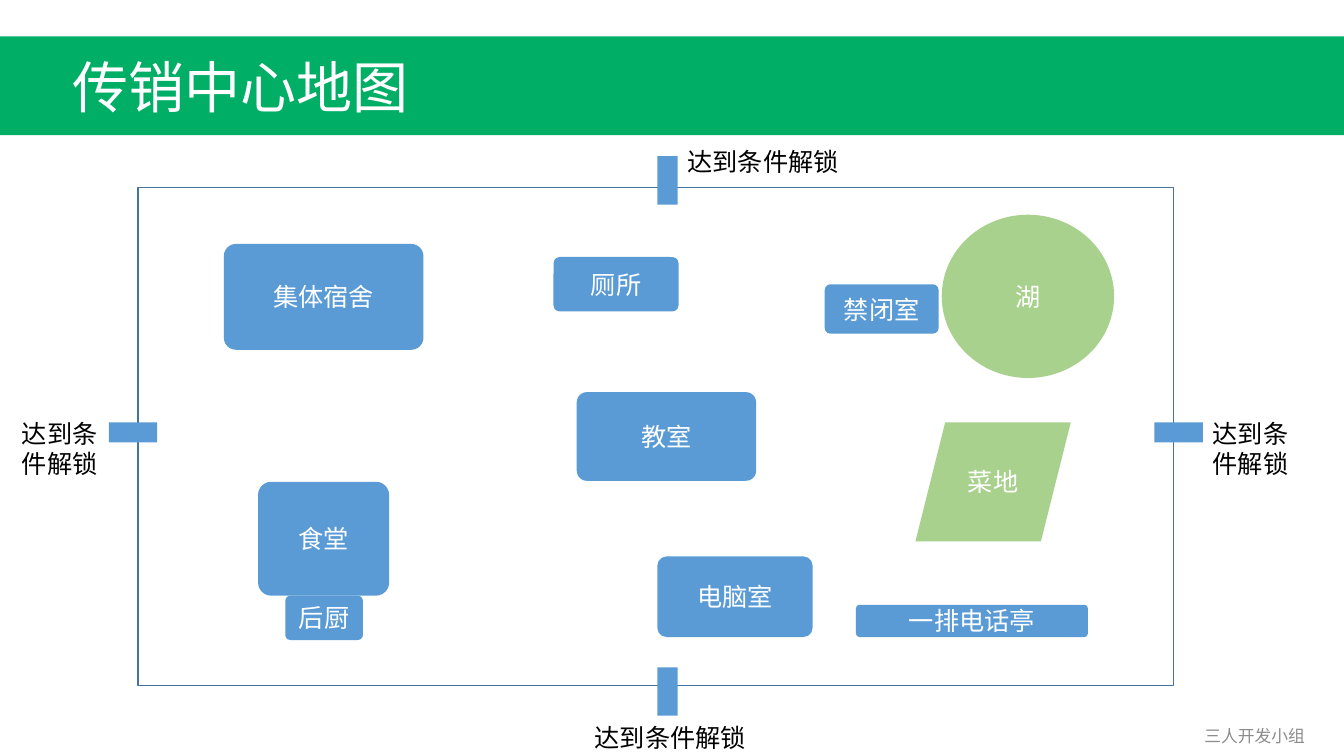
import pptx
import pptx.util
import pptx.dml.color
import pptx.enum.shapes
import pptx.enum.text

SHAPES = pptx.enum.shapes.MSO_SHAPE
ALIGN = pptx.enum.text.PP_ALIGN
ANCHOR = pptx.enum.text.MSO_ANCHOR


def px(length):
    return pptx.util.Emu(length * 9144)


def rgb(value):
    return pptx.dml.color.RGBColor.from_string(value)


class MapPage:
    font = "Calibri"
    green = "00AE66"
    blue = "5B9BD5"
    nature = "A9D18E"
    border = "43739E"
    white = "FFFFFF"
    black = "000000"
    gray = "8C8C8C"

    def __init__(self, deck):
        self.page = deck.slides.add_slide(deck.slide_layouts[5])

    def set_text(self, shape, text, size, color, align=ALIGN.LEFT, anchor=ANCHOR.TOP):
        frame = shape.text_frame
        frame.text = text
        frame.word_wrap = True
        frame.auto_size = pptx.enum.text.MSO_AUTO_SIZE.NONE
        frame.vertical_anchor = anchor
        para = frame.paragraphs[0]
        para.alignment = align
        para.font.name = self.font
        para.font.size = pptx.util.Pt(size)
        para.font.color.rgb = rgb(color)

    def title(self, text, *place):
        title = self.page.shapes.title
        title.left, title.top, title.width, title.height = map(px, place)
        self.set_text(title, text, 40, self.white)

    def label(self, text, *place, size=18, color=black, **layout):
        box = self.page.shapes.add_textbox(*map(px, place))
        self.set_text(box, text, size, color, **layout)
        return box

    def shape(self, kind, *place, fill=None, line=None):
        shape = self.page.shapes.add_shape(kind, *map(px, place))
        shape.shadow.inherit = False
        if fill:
            shape.fill.solid()
            shape.fill.fore_color.rgb = rgb(fill)
        else:
            shape.fill.background()
        if line:
            shape.line.color.rgb = rgb(line)
            shape.line.width = pptx.util.Pt(1)
        else:
            shape.line.fill.background()
        return shape

    def place(self, text, kind, *place, fill):
        shape = self.shape(kind, *place, fill=fill)
        self.set_text(shape, text, 18, self.white, ALIGN.CENTER, ANCHOR.MIDDLE)
        return shape

    def building(self, text, *place):
        building = self.place(text, SHAPES.ROUNDED_RECTANGLE, *place, fill=self.blue)
        building.adjustments[0] = 0.115

    def gate(self, left, top, rotation):
        gate = self.shape(SHAPES.RECTANGLE, left, top, 48, 20, fill=self.blue)
        gate.rotation = rotation

    def send_behind_title(self, *shapes):
        for shape in shapes:
            self.page.shapes.title.element.addprevious(shape.element)


def main():
    deck = pptx.Presentation()
    deck.slide_width, deck.slide_height = px(1333), px(750)
    center = MapPage(deck)

    team = center.label("三人开发小组", 1156, 710, 177, 40, size=12, color=center.gray,
                        align=ALIGN.CENTER, anchor=ANCHOR.MIDDLE)
    band = center.shape(SHAPES.RECTANGLE, 0, 36, 1333, 98, fill=center.green)
    center.send_behind_title(team, band)
    center.title("传销中心地图", 62, 47, 470, 77)

    center.shape(SHAPES.RECTANGLE, 137, 186, 1027, 494, line=center.border)
    for left, top, rotation in [(1145, 419, 0), (108, 419, 0), (638, 676, 90), (638, 169, 90)]:
        center.gate(left, top, rotation)

    buildings = [
        ("集体宿舍", 222, 242, 198, 105),
        ("教室", 572, 389, 178, 88),
        ("食堂", 256, 478, 130, 113),
        ("后厨", 283, 591, 77, 44),
        ("禁闭室", 818, 282, 113, 49),
        ("电脑室", 652, 552, 154, 80),
        ("一排电话亭", 849, 600, 230, 32),
        ("厕所", 549, 255, 124, 54),
    ]
    for building in buildings:
        center.building(*building)
    center.place("湖", SHAPES.OVAL, 934, 213, 171, 162, fill=center.nature)
    center.place("菜地", SHAPES.PARALLELOGRAM, 908, 419, 154, 118, fill=center.nature)

    for place in [(1193, 410, 116, 71), (12, 410, 96, 71), (580, 712, 184, 40), (672, 140, 184, 40)]:
        center.label("达到条件解锁", *place)

    deck.save("out.pptx")


if __name__ == "__main__":
    main()
